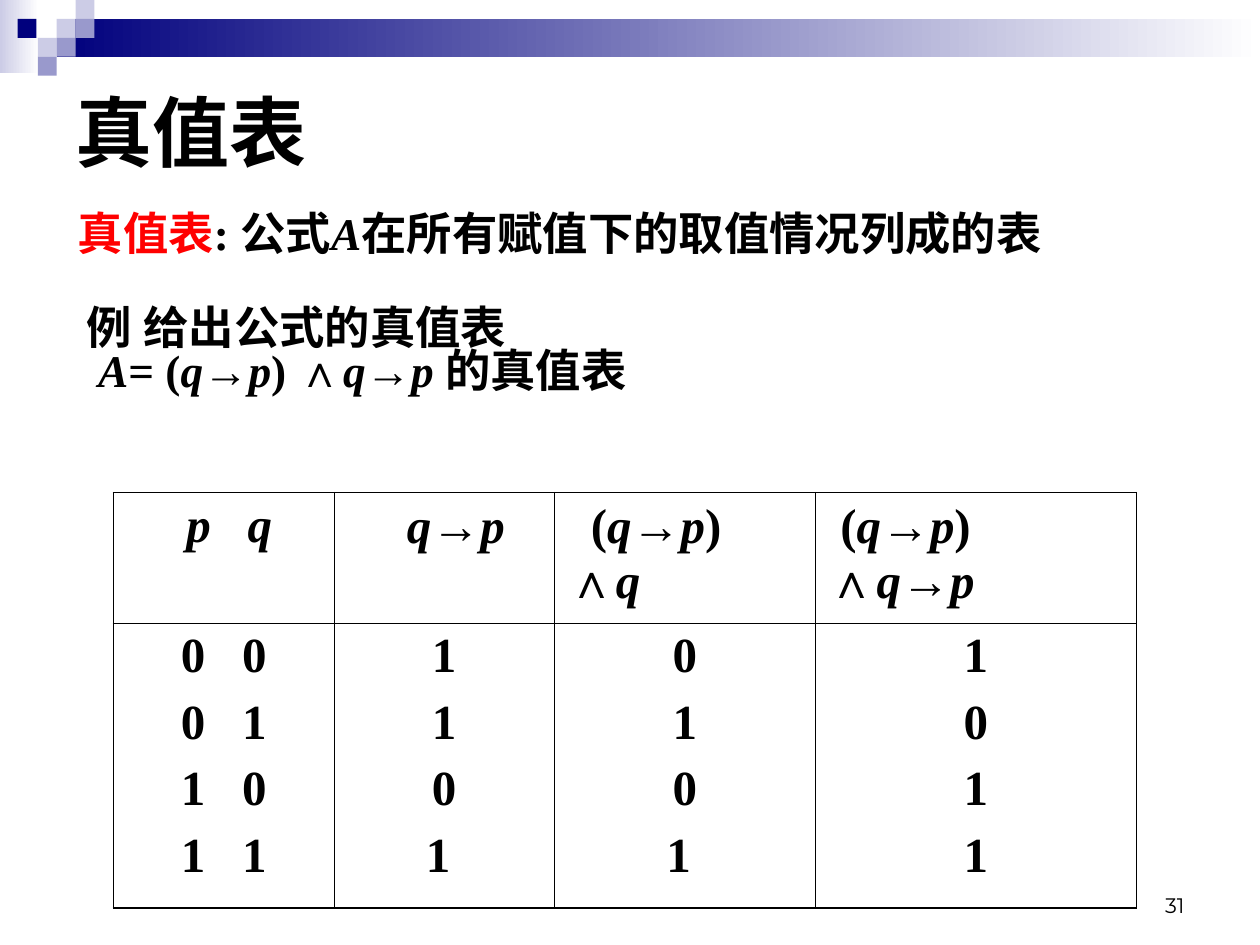
from itertools import groupby

from lxml.etree import SubElement
from pptx import Presentation
from pptx.dml.color import RGBColor
from pptx.enum.shapes import MSO_SHAPE
from pptx.enum.text import MSO_ANCHOR, PP_ALIGN
from pptx.oxml.ns import qn
from pptx.util import Inches, Pt

COLORS = {"navy": "00007D", "blue": "9999CC", "pale": "CCCCE6",
          "white": "FFFFFF", "black": "000000", "red": "FF0000"}
CJK, ROMAN, SYMBOL = "Noto Sans CJK SC", "Times New Roman", "Arial"
FONTS = {"cjk": CJK, "symbol": SYMBOL, "variable": ROMAN, "roman": ROMAN, "space": ROMAN}
STEP = 0.15
SQUARES = [(3, 1, "pale"), (4, 0, "pale"), (4, 1, "blue"), (2, 2, "pale"),
           (0.93, 1, "navy"), (3, 2, "blue"), (2, 3, "blue")]
HEADERS = [("p q", 0.48, 0), ("q→p", 0.48, 0), ("(q→p) ∧q", 0, 0.19), ("(q→p) ∧q→p", 0, 0.1)]
VALUES = [("0 0", "0 1", "1 0", "1 1"), ("1", "1", "0", "1 "),
          ("0", "1", "0", "1 "), ("1", "0", "1", "1")]
COLUMNS, ROWS = (1.75, 1.75, 2.07, 2.55), (0.69, 2.26)
OUTER, INNER = 1.08, 0.45


def color(name):
    """Return the named colour."""
    return RGBColor.from_string(COLORS[name])


def kind(letter):
    """Tell which kind of type a character needs."""
    if letter in "→∧":
        return "symbol"
    if letter in "Apq":
        return "variable"
    if letter == " ":
        return "space"
    return "cjk" if ord(letter) > 0x2E80 else "roman"


def add_text(para, text, size=28, bold=True, tint="black", font=None, gap=0):
    """Add text in one span per kind of character; gap widens inner spaces."""
    groups = [(name, "".join(part)) for name, part in groupby(text, kind)]
    for index, (name, part) in enumerate(groups):
        span = para.add_run()
        span.text = part
        span.font.size, span.font.bold = Pt(size), bold
        span.font.italic = name == "variable"
        span.font.name = font or FONTS[name]
        span.font.color.rgb = color(tint)
        properties = span.font._element
        SubElement(properties, qn("a:ea"), typeface=font or FONTS[name])
        if gap and name == "space" and index < len(groups) - 1:
            properties.set("spc", str(gap * 100))


def format_paragraph(para, before=0, indent=0, first=0, spacing=None, align=PP_ALIGN.LEFT):
    """Set the spacing, indents and alignment of a paragraph."""
    para.alignment, para.line_spacing = align, spacing
    para.space_before = Pt(before)
    properties = para._p.get_or_add_pPr()
    properties.set("marL", str(Inches(indent)))
    properties.set("indent", str(Inches(first)))


def add_box(page, left, top, width, height, anchor=MSO_ANCHOR.TOP):
    """Add a wrapping text box and return its frame."""
    frame = page.shapes.add_textbox(*map(Inches, (left, top, width, height))).text_frame
    frame.word_wrap, frame.vertical_anchor = True, anchor
    return frame


def add_block(page, left, top, width, height, start, end=None):
    """Add a rectangle, plain or fading from start to end."""
    block = page.shapes.add_shape(MSO_SHAPE.RECTANGLE, *map(Inches, (left, top, width, height)))
    block.shadow.inherit = False
    block.line.fill.background()
    if end:
        block.fill.gradient()
        block.fill.gradient_angle = 0
        for stop, name in zip(block.fill.gradient_stops, (start, end)):
            stop.color.rgb = color(name)
    else:
        block.fill.solid()
        block.fill.fore_color.rgb = color(start)


def add_banner(page):
    """Draw the fading bands and the stepped squares."""
    add_block(page, 0, 0, 0.31, 0.58, "pale", "white")
    add_block(page, 3 * STEP, STEP, 10 - 3 * STEP, 2 * STEP, "navy", "white")
    for column, row, name in SQUARES:
        add_block(page, column * STEP, row * STEP, STEP, STEP, name)


def add_title(page, text):
    """Place and format the title."""
    title = page.shapes.title
    title.left, title.top, title.width, title.height = map(Inches, (0.5, 0.5, 9, 1.08))
    title.text_frame.vertical_anchor = MSO_ANCHOR.MIDDLE
    para = title.text_frame.paragraphs[0]
    format_paragraph(para)
    add_text(para, text, size=44)


def add_body(page):
    """Write the definition and the example."""
    frame = add_box(page, 0.43, 1.7, 8.74, 1.97)
    lines = [([("真值表", "red"), (": 公式A在所有赋值下的取值情况列成的表", "black")], 0, 0.09),
             ([("例 给出公式的真值表", "black")], 32, 0.16),
             ([("A= (q→p) ∧q→p 的真值表", "black")], 2.6, 0.25)]
    for index, (parts, before, indent) in enumerate(lines):
        para = frame.add_paragraph() if index else frame.paragraphs[0]
        format_paragraph(para, before=before, indent=indent, spacing=0.7)
        for text, tint in parts:
            add_text(para, text, size=25.9, tint=tint)


def format_cell(cell, row, column):
    """Give a cell no fill, thick outer borders and thin inner ones."""
    outer = {"L": column == 0, "R": column == len(COLUMNS) - 1,
             "T": row == 0, "B": row == len(ROWS) - 1}
    properties = cell._tc.get_or_add_tcPr()
    for side, is_outer in outer.items():
        width = Pt(OUTER if is_outer else INNER)
        line = SubElement(properties, qn(f"a:ln{side}"), w=str(width))
        SubElement(SubElement(line, qn("a:solidFill")), qn("a:srgbClr"), val=COLORS["black"])
    cell.fill.background()


def add_truth_table(page):
    """Build the truth table with one row of headers and one of values."""
    area = map(Inches, (0.9, 3.91, sum(COLUMNS), sum(ROWS)))
    table = page.shapes.add_table(len(ROWS), len(COLUMNS), *area).table
    table.first_row = table.horz_banding = False
    for row, height in enumerate(ROWS):
        table.rows[row].height = Inches(height)
    for column, width in enumerate(COLUMNS):
        table.columns[column].width = Inches(width)
        gap = 0 if column else 14
        for row in range(len(ROWS)):
            format_cell(table.cell(row, column), row, column)
        text, indent, first = HEADERS[column]
        para = table.cell(0, column).text_frame.paragraphs[0]
        format_paragraph(para, indent=indent, first=first)
        add_text(para, text, gap=gap)
        frame = table.cell(1, column).text_frame
        for index, value in enumerate(VALUES[column]):
            para = frame.add_paragraph() if index else frame.paragraphs[0]
            format_paragraph(para, before=7 if index else 0, align=PP_ALIGN.CENTER)
            add_text(para, value, gap=gap)


def add_page_number(page, number):
    """Write the page number at the lower right."""
    para = add_box(page, 7.17, 6.83, 2.33, 0.5, MSO_ANCHOR.BOTTOM).paragraphs[0]
    format_paragraph(para, align=PP_ALIGN.RIGHT)
    add_text(para, number, size=12, bold=False, font="Montserrat")


def main():
    """Build and save the slide."""
    deck = Presentation()
    deck.slide_width, deck.slide_height = Inches(10), Inches(7.5)
    page = deck.slides.add_slide(deck.slide_layouts[5])
    add_banner(page)
    add_page_number(page, "31")
    add_title(page, "真值表")
    add_body(page)
    add_truth_table(page)
    deck.save("out.pptx")


if __name__ == "__main__":
    main()
